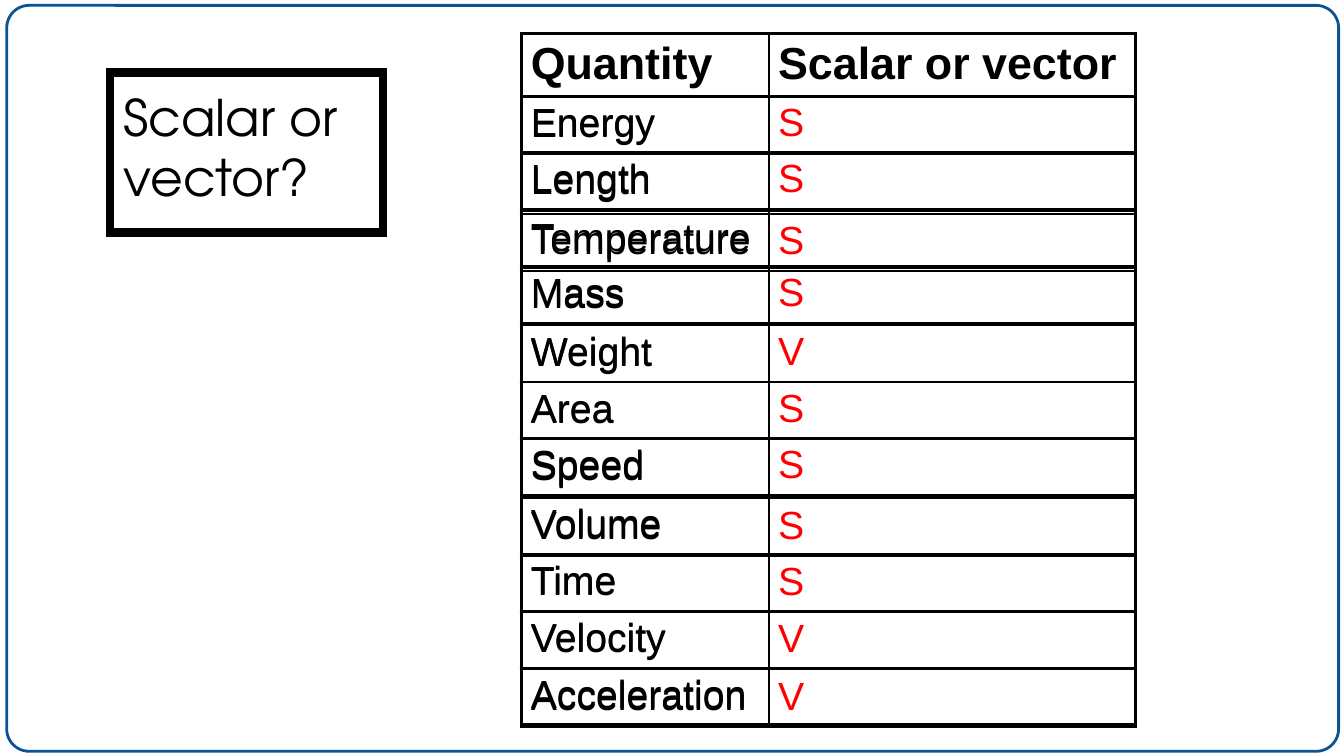
from lxml import etree
from pptx import Presentation
from pptx.dml.color import RGBColor
from pptx.enum.shapes import MSO_SHAPE
from pptx.enum.text import MSO_ANCHOR, MSO_AUTO_SIZE, PP_ALIGN
from pptx.oxml.ns import qn
from pptx.util import Inches, Pt

ROUNDED = MSO_SHAPE.ROUNDED_RECTANGLE
TOP = MSO_ANCHOR.TOP
LEFT = PP_ALIGN.LEFT
NO_FIT = MSO_AUTO_SIZE.NONE

COLORS = {"ink": "000000", "answer": "FF0000", "frame": "0B5394"}
BODY_FONT = "Arial"
TITLE_FONT = "TeX Gyre Adventor"
SLIDE_WIDTH = 10
SLIDE_HEIGHT = SLIDE_WIDTH * 9 / 16
COLUMNS = (1.84, 2.73)
HEADER_HEIGHT = 0.47
THICK, THIN = 2.25, 1

HEADER = ("Quantity", "Scalar or vector")
ANSWERS = [
    ("Energy", "S", 0.71),
    ("Length", "S", 1.13),
    ("Temperature", "S", 1.59),
    ("Mass", "S", 1.98),
    ("Weight", "V", 2.42),
    ("Area", "S", 2.84),
    ("Speed", "S", 3.26),
    ("Volume", "S", 3.71),
    ("Time", "S", 4.13),
    ("Velocity", "V", 4.55),
    ("Acceleration", "V", 4.98),
]
ROW_HEIGHT = (5.15 - HEADER_HEIGHT) / len(ANSWERS)


def rgb(name):
    return RGBColor.from_string(COLORS[name])


def style_font(font, name, size, color, bold=False):
    font.name, font.size, font.bold = name, Pt(size), bold
    font.color.rgb = rgb(color)


def set_borders(cell, widths):
    properties = cell._tc.get_or_add_tcPr()
    for position, (side, width) in enumerate(zip("LRTB", widths)):
        line = etree.Element(qn(f"a:ln{side}"), w=str(Pt(width)))
        fill = etree.SubElement(line, qn("a:solidFill"))
        etree.SubElement(fill, qn("a:srgbClr"), val=COLORS["ink"])
        properties.insert(position, line)


def fill_cell(cell, text, size, color, bold):
    cell.fill.background()
    cell.margin_left = cell.margin_right = Inches(0.07)
    cell.margin_top = cell.margin_bottom = Inches(0.04)
    cell.vertical_anchor = TOP
    paragraph = cell.text_frame.paragraphs[0]
    paragraph.text = text
    style_font(paragraph.font, BODY_FONT, size, color, bold)
    for run in paragraph.runs:
        style_font(run.font, BODY_FONT, size, color, bold)


def add_grid(slide, left, top, rows, has_header=False, ends_list=False):
    heights = [ROW_HEIGHT] * len(rows)
    if has_header:
        heights[0] = HEADER_HEIGHT
    grid = slide.shapes.add_table(
        len(rows), len(COLUMNS), Inches(left), Inches(top),
        Inches(sum(COLUMNS)), Inches(sum(heights))).table
    grid.first_row = grid.horz_banding = False
    for column, width in zip(grid.columns, COLUMNS):
        column.width = Inches(width)
    for r, (row, height) in enumerate(zip(rows, heights)):
        grid.rows[r].height = Inches(height)
        is_header = has_header and r == 0
        is_last = ends_list and r == len(rows) - 1
        for c, text in enumerate(row):
            cell = grid.cell(r, c)
            color = "answer" if c and not is_header else "ink"
            fill_cell(cell, text, 24 if is_header else 21, color, is_header)
            set_borders(cell, (THIN if c else THICK, THICK if c else THIN,
                               THICK if is_header else THIN,
                               THICK if is_last else THIN))


def add_quantities(slide, left, top):
    blank_answers = [(quantity, "") for quantity, _, _ in ANSWERS]
    add_grid(slide, left, top, [HEADER] + blank_answers,
             has_header=True, ends_list=True)
    for quantity, answer, row_top in ANSWERS:
        add_grid(slide, left, row_top, [(quantity, answer)],
                 ends_list=quantity == ANSWERS[-1][0])


def add_frame(slide, left, top, width, height):
    frame = slide.shapes.add_shape(
        ROUNDED, Inches(left), Inches(top), Inches(width), Inches(height))
    frame.adjustments[0] = 0.03
    frame.shadow.inherit = False
    frame.fill.background()
    frame.line.color.rgb = rgb("frame")
    frame.line.width = Pt(1.5)


def add_title(slide, left, top, width, height):
    title = slide.shapes.title
    title.left, title.top = Inches(left), Inches(top)
    title.width, title.height = Inches(width), Inches(height)
    title.line.color.rgb = rgb("ink")
    title.line.width = Pt(4.5)
    outline = title.element.spPr.find(qn("a:ln"))
    etree.SubElement(outline, qn("a:miter"), lim="800000")
    text_frame = title.text_frame
    text_frame.text = "Scalar or vector?"
    text_frame.word_wrap = True
    text_frame.auto_size = NO_FIT
    text_frame.vertical_anchor = TOP
    text_frame.margin_left = text_frame.margin_right = Inches(0.1)
    text_frame.margin_top = text_frame.margin_bottom = Inches(0.1)
    paragraph = text_frame.paragraphs[0]
    paragraph.alignment = LEFT
    style_font(paragraph.runs[0].font, TITLE_FONT, 27, "ink")


def main():
    deck = Presentation()
    deck.slide_width = Inches(SLIDE_WIDTH)
    deck.slide_height = Inches(SLIDE_HEIGHT)
    slide = deck.slides.add_slide(deck.slide_layouts[5])
    add_frame(slide, 0.05, 0.04, 9.91, 5.55)
    add_title(slide, 0.82, 0.54, 2.03, 1.19)
    add_quantities(slide, 3.88, 0.25)
    deck.save("out.pptx")


if __name__ == "__main__":
    main()
